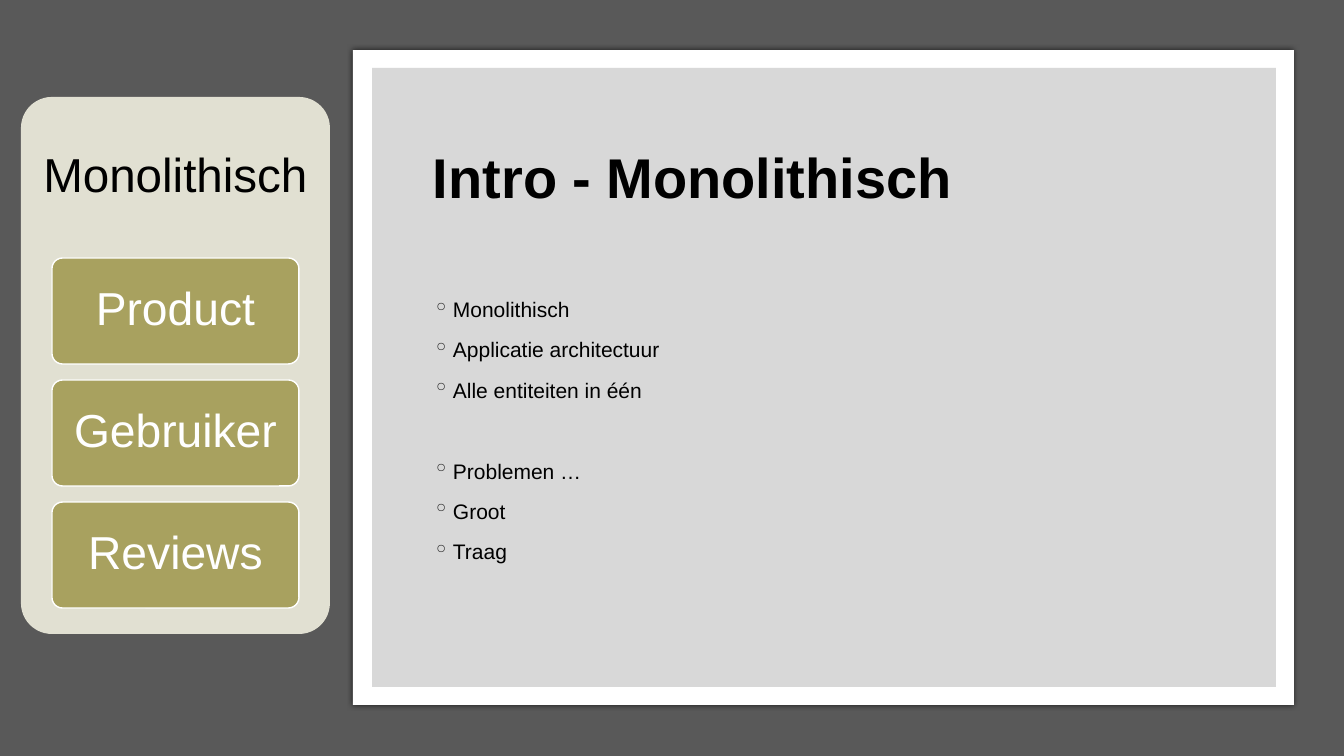
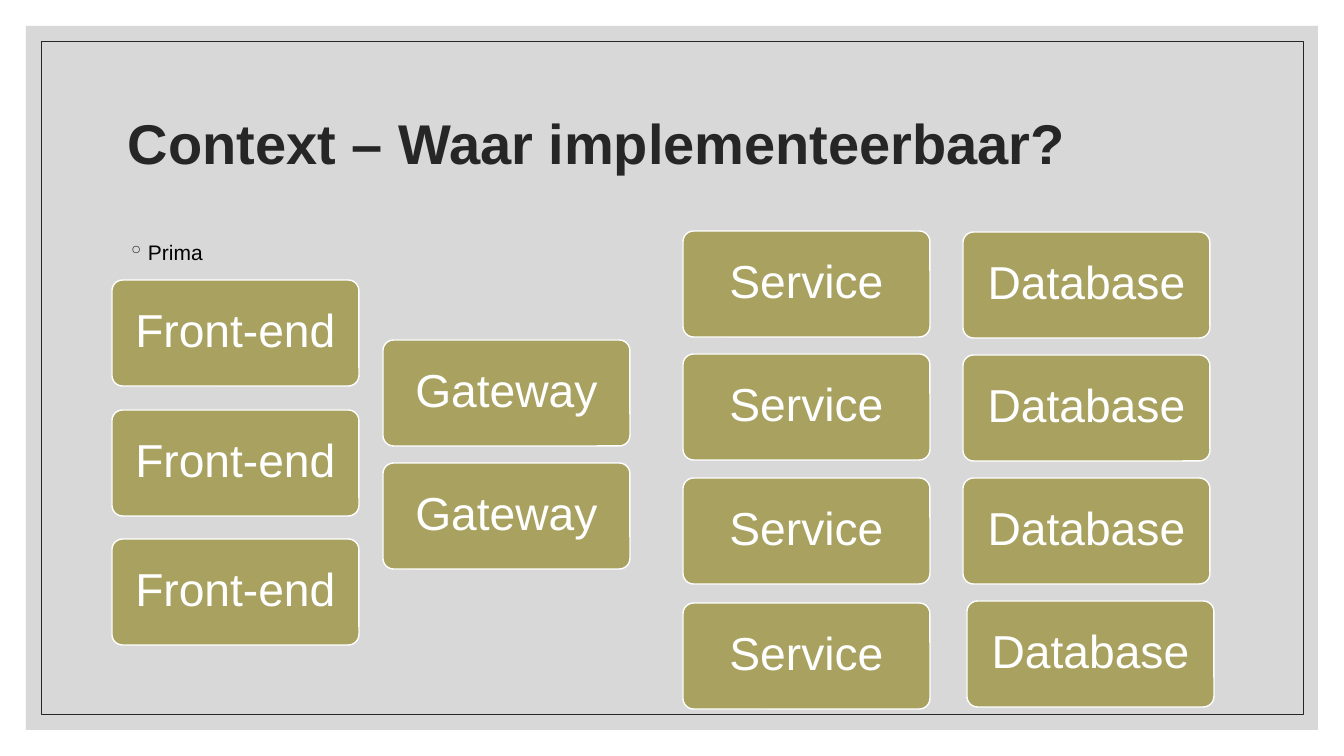
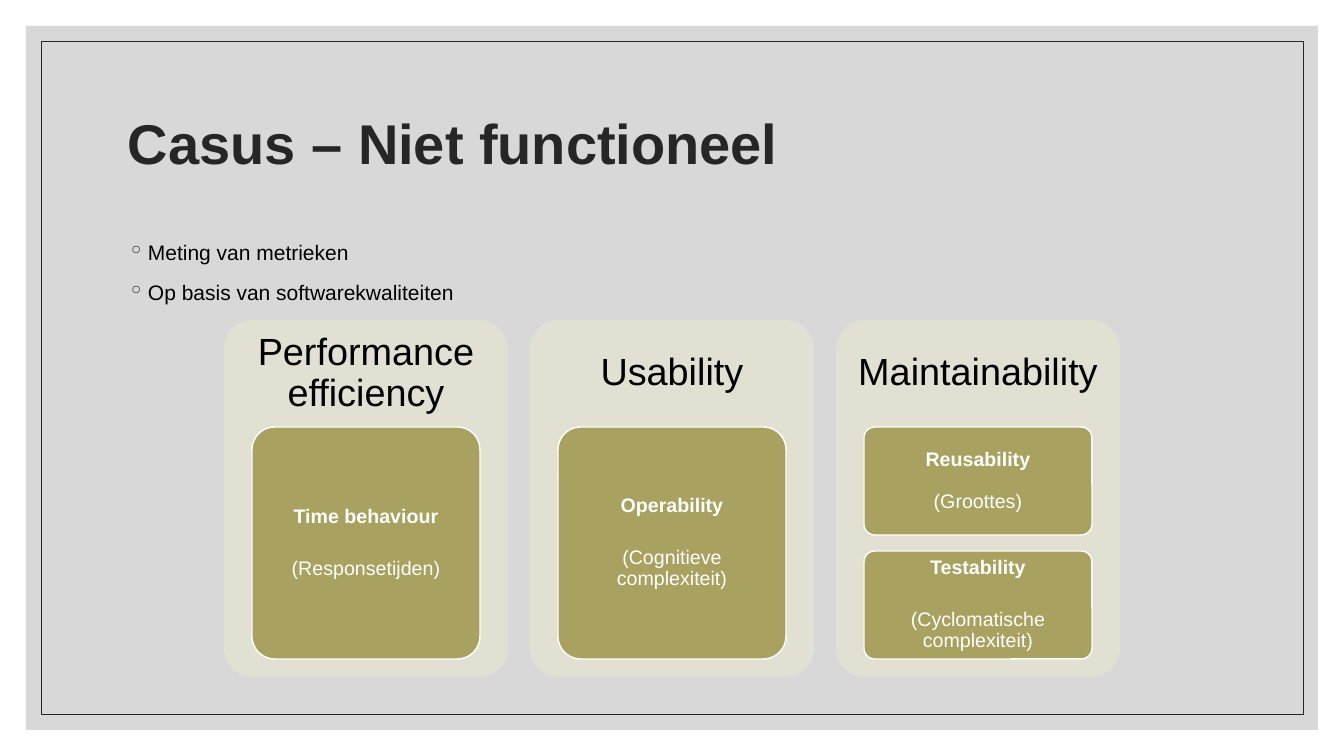
from lxml import etree
from pptx import Presentation
from pptx.dml.color import RGBColor
from pptx.enum.shapes import MSO_SHAPE
from pptx.enum.text import MSO_ANCHOR, PP_ALIGN
from pptx.oxml.ns import qn
from pptx.util import Emu, Pt

RECTANGLE = MSO_SHAPE.RECTANGLE
ROUNDED = MSO_SHAPE.ROUNDED_RECTANGLE
TOP, MIDDLE = MSO_ANCHOR.TOP, MSO_ANCHOR.MIDDLE
LEFT, CENTER = PP_ALIGN.LEFT, PP_ALIGN.CENTER

FONT = "Arial"
WHITE, BLACK, INK = "FFFFFF", "000000", "262626"
SLATE, GREY, SAND, OLIVE = "595959", "BFBFBF", "E1E0D2", "A8A15F"
CARD_WIDTH, CARD_HEIGHT = 247, 106


def px(length):
    return Emu(round(length * 914400 / 100.8))


def color(value):
    return RGBColor.from_string(value)


class Deck:
    """Holds the shared style and the slide being built."""

    def __init__(self):
        self.presentation = Presentation()
        self.presentation.slide_width = px(1344)
        self.presentation.slide_height = px(756)
        self.slide = None

    def new_slide(self):
        layout = self.presentation.slide_layouts[6]
        self.slide = self.presentation.slides.add_slide(layout)

    def shape(self, kind, box, fill=None, line=None, line_width=1, opacity=100):
        shape = self.slide.shapes.add_shape(kind, *map(px, box))
        shape.shadow.inherit = False
        if fill:
            shape.fill.solid()
            shape.fill.fore_color.rgb = color(fill)
        else:
            shape.fill.background()
        if line:
            shape.line.color.rgb = color(line)
            shape.line.width = Pt(line_width)
        else:
            shape.line.fill.background()
        if opacity < 100:
            tint = shape.fill._xPr.find(".//" + qn("a:srgbClr"))
            etree.SubElement(tint, qn("a:alpha"), val=str(opacity * 1000))
        if kind == ROUNDED:
            shape.adjustments[0] = 0.1
        return shape

    def glow(self, shape):
        effects = shape._element.spPr.find(qn("a:effectLst"))
        shadow = etree.SubElement(effects, qn("a:outerShdw"), blurRad=str(Pt(4)), dist="0", dir="0")
        tint = etree.SubElement(shadow, qn("a:srgbClr"), val=BLACK)
        etree.SubElement(tint, qn("a:alpha"), val="66000")

    def frame(self, shape, anchor, insets=(10, 5)):
        frame = shape.text_frame
        frame.word_wrap = True
        frame.vertical_anchor = anchor
        frame.margin_left = frame.margin_right = px(insets[0])
        frame.margin_top = frame.margin_bottom = px(insets[1])
        return frame

    def text_box(self, box, anchor, insets=(10, 5)):
        return self.frame(self.slide.shapes.add_textbox(*map(px, box)), anchor, insets)

    def paragraph(self, frame, text, size, ink, bold=False, align=LEFT, spacing=0.9, before=0):
        paragraph = frame.paragraphs[0]
        if paragraph.runs:
            paragraph = frame.add_paragraph()
        paragraph.alignment = align
        paragraph.line_spacing = spacing
        paragraph.space_before = Pt(before)
        run = paragraph.add_run()
        run.text = text
        run.font.name = FONT
        run.font.size = Pt(size)
        run.font.bold = bold
        run.font.color.rgb = color(ink)
        return paragraph

    def title(self, text, box=(118, 71, 1109, 151), ink=INK):
        self.paragraph(self.text_box(box, MIDDLE), text, 40, ink, bold=True)

    def bullets(self, items, box=(118, 232, 1109, 424), group_start=None):
        frame = self.text_box(box, TOP)
        for item in items:
            before = 38 if item == group_start else 9
            paragraph = self.paragraph(frame, item, 15, BLACK, spacing=1.1, before=before)
            properties = paragraph._p.get_or_add_pPr()
            properties.set("marL", str(px(20)))
            properties.set("indent", str(-px(20)))
            tint = etree.SubElement(properties, qn("a:buClr"))
            etree.SubElement(tint, qn("a:srgbClr"), val=INK)
            etree.SubElement(properties, qn("a:buChar"), char="◦")

    def panel(self, box, heading, heading_height, size, inset):
        left, top, width, _ = box
        self.shape(ROUNDED, box, SAND)
        frame = self.text_box((left, top, width, heading_height), MIDDLE, (inset, inset))
        self.paragraph(frame, heading, size, BLACK, align=CENTER)

    def card(self, left, top, label):
        shape = self.shape(ROUNDED, (left, top, CARD_WIDTH, CARD_HEIGHT), OLIVE, WHITE)
        self.paragraph(self.frame(shape, MIDDLE, (9, 7)), label, 33, WHITE, align=CENTER)

    def metric(self, box, quality, measure, gap):
        frame = self.frame(self.shape(ROUNDED, box, OLIVE, WHITE), MIDDLE, (4, 3))
        self.paragraph(frame, quality, 14, WHITE, bold=True, align=CENTER)
        self.paragraph(frame, measure, 14, WHITE, align=CENTER, before=gap)

    def framed_slide(self, title, items):
        self.new_slide()
        self.shape(RECTANGLE, (26, 26, 1292, 704), GREY, opacity=60)
        self.shape(RECTANGLE, (41, 41, 1262, 673), line=INK, line_width=0.5)
        self.title(title)
        self.bullets(items)


def monolith_slide(deck):
    deck.new_slide()
    deck.shape(RECTANGLE, (0, 0, 1344, 756), SLATE)
    deck.glow(deck.shape(RECTANGLE, (353, 50, 941, 655), WHITE))
    deck.shape(RECTANGLE, (372, 68, 904, 619), GREY, opacity=60)
    deck.title("Intro - Monolithisch", (423, 97, 817, 167), BLACK)
    items = ("Monolithisch", "Applicatie architectuur", "Alle entiteiten in één",
             "Problemen …", "Groot", "Traag")
    deck.bullets(items, (423, 289, 798, 345), group_start="Problemen …")
    deck.panel((21, 97, 309, 537), "Monolithisch", 161, 34, 14)
    for row, label in enumerate(("Product", "Gebruiker", "Reviews")):
        deck.card(52, 258 + 122 * row, label)


def context_slide(deck):
    deck.framed_slide("Context – Waar implementeerbaar?", ["Prima"])
    columns = (
        ("Front-end", 112, (280, 410, 539)),
        ("Gateway", 383, (340, 463)),
        ("Service", 683, (231, 354, 478, 603)),
        ("Database", 963, (232, 355, 478)),
        ("Database", 967, (601,)),
    )
    for label, left, tops in columns:
        for top in tops:
            deck.card(left, top, label)


def quality_slide(deck):
    deck.framed_slide("Casus – Niet functioneel",
                      ("Meting van metrieken", "Op basis van softwarekwaliteiten"))
    groups = (
        ("Performance efficiency", (("Time behaviour", "(Responsetijden)", 22),)),
        ("Usability", (("Operability", "(Cognitieve complexiteit)", 22),)),
        ("Maintainability", (("Reusability", "(Groottes)", 15),
                             ("Testability", "(Cyclomatische complexiteit)", 22))),
    )
    gap = 16
    for column, (heading, metrics) in enumerate(groups):
        left = 224 + 306 * column
        deck.panel((left, 320, 284, 357), heading, 107, 27, 11)
        height = (232 - gap * (len(metrics) - 1)) // len(metrics)
        for row, metric in enumerate(metrics):
            deck.metric((left + 28, 427 + (height + gap) * row, 228, height), *metric)


def main():
    deck = Deck()
    monolith_slide(deck)
    context_slide(deck)
    quality_slide(deck)
    deck.presentation.save("out.pptx")


if __name__ == "__main__":
    main()
